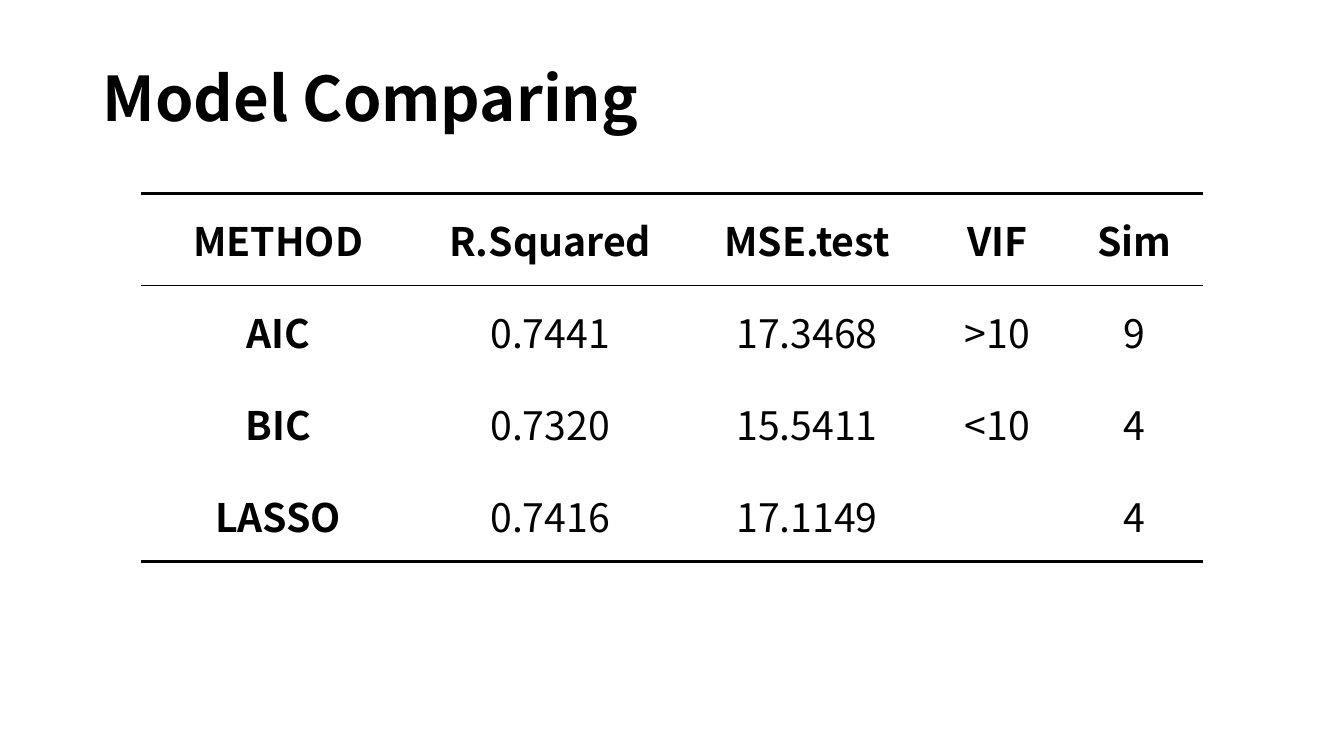
from lxml.etree import SubElement
from pptx import Presentation
from pptx.dml.color import RGBColor
from pptx.enum.text import MSO_ANCHOR, PP_ALIGN
from pptx.oxml.ns import qn
from pptx.util import Inches, Pt

FONT = "Noto Sans CJK SC"
BLACK = "000000"
COLUMN_WIDTHS = [2.72, 2.68, 2.42, 1.36, 1.36]
RESULTS = [
    ["METHOD", "R.Squared", "MSE.test", "VIF", "Sim"],
    ["AIC", "0.7441", "17.3468", ">10", "9"],
    ["BIC", "0.7320", "15.5411", "<10", "4"],
    ["LASSO", "0.7416", "17.1149", "", "4"],
]
# Width in points of each horizontal rule, by the row it stands above
RULES = {0: 2.25, 1: 1, len(RESULTS): 2.25}


def rgb(color):
    return RGBColor.from_string(color)


def write(tf, text, size, bold=False, color=BLACK, align=PP_ALIGN.LEFT, spacing=None):
    p = tf.paragraphs[0]
    p.alignment = align
    p.line_spacing = spacing
    r = p.add_run()
    r.text = text
    r.font.name = FONT
    r.font.size = Pt(size)
    r.font.bold = bold
    r.font.color.rgb = rgb(color)


def set_border(cell, side, width=None, color=BLACK):
    """Draw one side (L, R, T or B) of a cell, or clear it if no width is given."""
    ln = SubElement(cell._tc.get_or_add_tcPr(), qn(f"a:ln{side}"))
    if width is None:
        SubElement(ln, qn("a:noFill"))
    else:
        ln.set("w", str(Pt(width)))
        fill = SubElement(ln, qn("a:solidFill"))
        SubElement(fill, qn("a:srgbClr"), val=color)


def add_title(s, text, left, top, width, height):
    box = s.shapes.add_textbox(Inches(left), Inches(top), Inches(width), Inches(height))
    tf = box.text_frame
    tf.word_wrap = True
    tf.vertical_anchor = MSO_ANCHOR.MIDDLE
    write(tf, text, 44, bold=True, spacing=0.9)


def add_results_table(s, left, top, width, height):
    frame = s.shapes.add_table(len(RESULTS), len(COLUMN_WIDTHS), Inches(left),
                               Inches(top), Inches(width), Inches(height))
    table = frame.table
    table.first_row = table.horz_banding = False
    for column, share in zip(table.columns, COLUMN_WIDTHS):
        column.width = Inches(width * share / sum(COLUMN_WIDTHS))
    for i, values in enumerate(RESULTS):
        for j, value in enumerate(values):
            cell = table.cell(i, j)
            cell.vertical_anchor = MSO_ANCHOR.MIDDLE
            cell.margin_left = cell.margin_right = Inches(0.07)
            cell.margin_top = cell.margin_bottom = Inches(0.05)
            set_border(cell, "L")
            set_border(cell, "R")
            set_border(cell, "T", RULES.get(i))
            set_border(cell, "B", RULES.get(i + 1))
            cell.fill.background()
            if value:
                write(cell.text_frame, value, 28, bold=i == 0 or j == 0,
                      align=PP_ALIGN.CENTER)


def main():
    prs = Presentation()
    prs.slide_width, prs.slide_height = Inches(13.33), Inches(7.5)
    s = prs.slides.add_slide(prs.slide_layouts[6])
    add_results_table(s, 1.4, 1.92, 10.53, 3.65)
    add_title(s, "Model Comparing", 0.92, 0.28, 11.5, 1.45)
    prs.save("out.pptx")


if __name__ == "__main__":
    main()
